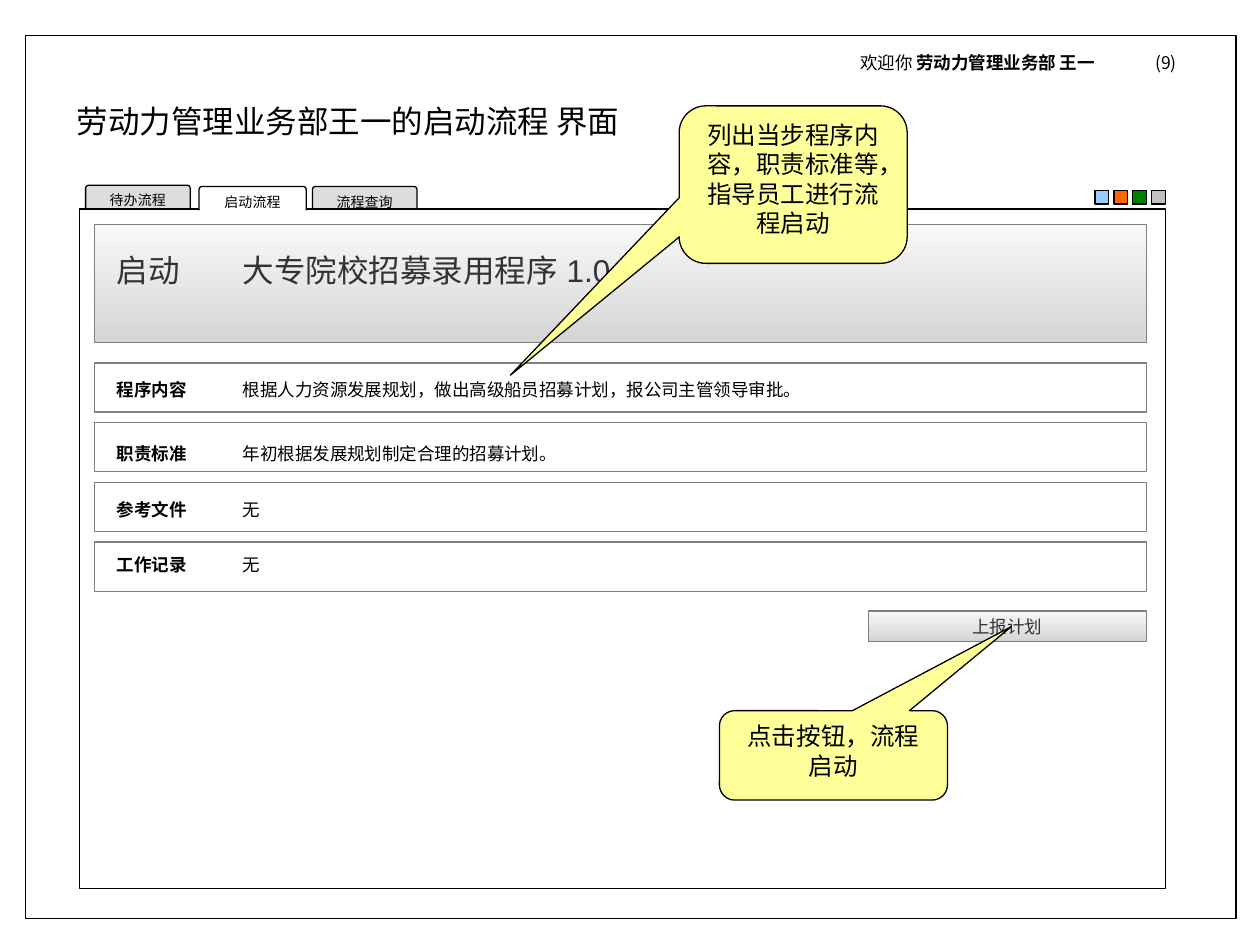
import pptx
import pptx.util
import pptx.dml.color
import pptx.enum.shapes
import pptx.enum.text
import pptx.oxml.ns
import lxml.etree

COLUMNS, ROWS = 100, 75
WIDTH, HEIGHT = pptx.util.Inches(10), pptx.util.Inches(7.5)
COLOURS = {
    "black": "000000", "white": "FFFFFF", "tab": "DDDDDD", "grey": "808080",
    "ink": "333333", "light": "F8F8F8", "dark": "D5D5D5", "note": "FFFF99",
    "blue": "99CCFF", "orange": "FF6600", "green": "008000", "silver": "C0C0C0",
}
SANS, ARIAL = "Noto Sans CJK SC", "Arial"
SHAPES = pptx.enum.shapes.MSO_SHAPE
ANCHOR = pptx.enum.text.MSO_ANCHOR
ALIGN = pptx.enum.text.PP_ALIGN
CARD_LEFT, CARD_WIDTH = 7.5, 83.5
LABEL_LEFT = 8.3


def colour(name):
    return pptx.dml.color.RGBColor.from_string(COLOURS[name])


def place(column, row, columns, rows):
    across, down = WIDTH / COLUMNS, HEIGHT / ROWS
    return [round(column * across), round(row * down),
            round(columns * across), round(rows * down)]


def write(box, spans, size, font=SANS, ink="black", tab=None, **frame_format):
    frame = box.text_frame
    settings = {"word_wrap": True, "vertical_anchor": ANCHOR.TOP,
                "auto_size": pptx.enum.text.MSO_AUTO_SIZE.NONE}
    alignment = frame_format.pop("alignment", ALIGN.LEFT)
    for name, value in {**settings, **frame_format}.items():
        setattr(frame, name, value)
    para = frame.paragraphs[0]
    para.alignment = alignment
    if tab:
        tag = pptx.oxml.ns.qn
        stops = lxml.etree.SubElement(para._p.get_or_add_pPr(), tag("a:tabLst"))
        lxml.etree.SubElement(stops, tag("a:tab"),
                              pos=str(round(tab * WIDTH / COLUMNS)), algn="l")
    for text, bold in spans:
        span = para.add_run()
        span.text = text
        for name, value in {"size": pptx.util.Pt(size), "bold": bold, "name": font}.items():
            setattr(span.font, name, value)
        span.font.color.rgb = colour(ink)
        lxml.etree.SubElement(span._r.get_or_add_rPr(),
                              pptx.oxml.ns.qn("a:ea"), typeface=font)


def add_box(page, area, fill="white", line="black", kind=SHAPES.RECTANGLE, adjust=()):
    box = page.shapes.add_shape(kind, *place(*area))
    box.shadow.inherit = False
    for index, value in enumerate(adjust):
        box.adjustments[index] = value
    if fill == "gradient":
        box.fill.gradient()
        box.fill.gradient_angle = 270
        for stop, position, name in zip(box.fill.gradient_stops, (0, 1), ("light", "dark")):
            stop.position = position
            stop.color.rgb = colour(name)
    else:
        box.fill.solid()
        box.fill.fore_color.rgb = colour(fill)
    if line:
        box.line.color.rgb = colour(line)
        box.line.width = pptx.util.Pt(0.75)
    else:
        box.line.fill.background()
    return box


def add_text(page, area, spans, size, **style):
    write(page.shapes.add_textbox(*place(*area)), spans, size, **style)


def add_title(page, text):
    title = page.shapes.title
    title.left, title.top, title.width, title.height = place(5.1, 7.6, 55.1, 4)
    write(title, [(text, False)], 18)
    title.element.getparent().append(title.element)


def add_tab(page, area, text, fill):
    box = add_box(page, area, fill, kind=SHAPES.ROUNDED_RECTANGLE, adjust=[0.1])
    write(box, [(text, False)], 8, alignment=ALIGN.CENTER,
          vertical_anchor=ANCHOR.MIDDLE, word_wrap=False)


def add_card(page, row, text_row, label, text):
    add_box(page, (CARD_LEFT, row, CARD_WIDTH, 3.9), line="grey")
    add_text(page, (LABEL_LEFT, text_row, 81, 2.7),
             [(label + "\t", True), (text, False)], 10, tab=10)


def add_callout(page, area, pointer, text):
    box = add_box(page, area, "note", kind=SHAPES.ROUNDED_RECTANGULAR_CALLOUT,
                  adjust=[*pointer, 0.17])
    write(box, [(text, False)], 14, font=ARIAL, alignment=ALIGN.CENTER)


def main():
    deck = pptx.Presentation()
    deck.slide_width, deck.slide_height = WIDTH, HEIGHT
    page = deck.slides.add_slide(deck.slide_layouts[5])

    add_box(page, (2, 2.8, 96.1, 70.1))
    add_title(page, "劳动力管理业务部王一的启动流程 界面")
    add_text(page, (67.3, 3.6, 29, 2.7),
             [("欢迎你 ", False), ("劳动力管理业务部 王一\t", True), ("(9)", False)],
             10, tab=23.4)

    add_tab(page, (6.8, 14.7, 8.3, 2.4), "待办流程", "tab")
    add_tab(page, (24.8, 14.8, 8.3, 2.4), "流程查询", "tab")
    add_box(page, (6.3, 16.6, 86.2, 53.9))
    add_tab(page, (15.8, 14.8, 8.5, 2.4), "启动流程", "white")
    add_box(page, (15.3, 16.7, 9.3, 0.8), line=None)

    for index, name in enumerate(("blue", "orange", "green", "silver")):
        add_box(page, (86.9 + 1.5 * index, 15.1, 1.1, 1.1), name)

    add_box(page, (CARD_LEFT, 17.8, CARD_WIDTH, 9.4), "gradient", "grey")
    add_text(page, (LABEL_LEFT, 19.4, 77.2, 4),
             [("启动\t大专院校招募录用程序 1.0", False)], 18,
             font=ARIAL, ink="ink", tab=10)

    cards = [
        (29.6, "程序内容", "根据人力资源发展规划，做出高级船员招募计划，报公司主管领导审批。"),
        (34.7, "职责标准", "年初根据发展规划制定合理的招募计划。"),
        (39.1, "参考文件", "无"),
        (43.5, "工作记录", "无"),
    ]
    for index, (text_row, label, text) in enumerate(cards):
        add_card(page, 28.8 + 4.74 * index, text_row, label, text)

    button = add_box(page, (68.9, 48.5, 22.1, 2.4), "gradient", "grey")
    write(button, [("上报计划", False)], 10, font=ARIAL, ink="ink",
          alignment=ALIGN.CENTER, vertical_anchor=ANCHOR.MIDDLE, word_wrap=False)

    add_callout(page, (53.9, 8.4, 18.1, 12.5), (-1.24, 1.21),
                "列出当步程序内容，职责标准等，指导员工进行流程启动")
    add_callout(page, (57.1, 56.4, 18.1, 7.1), (0.78, -1.44), "点击按钮，流程启动")
    deck.save("out.pptx")


if __name__ == "__main__":
    main()
